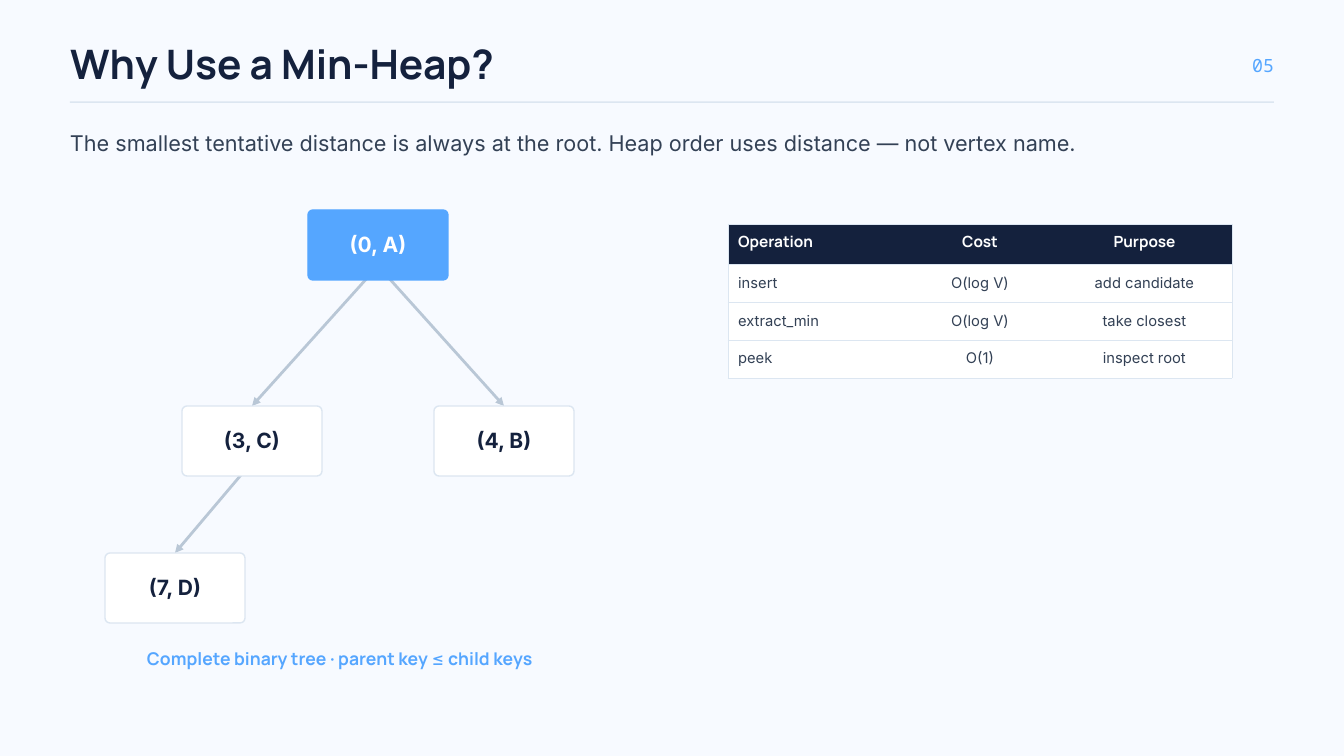
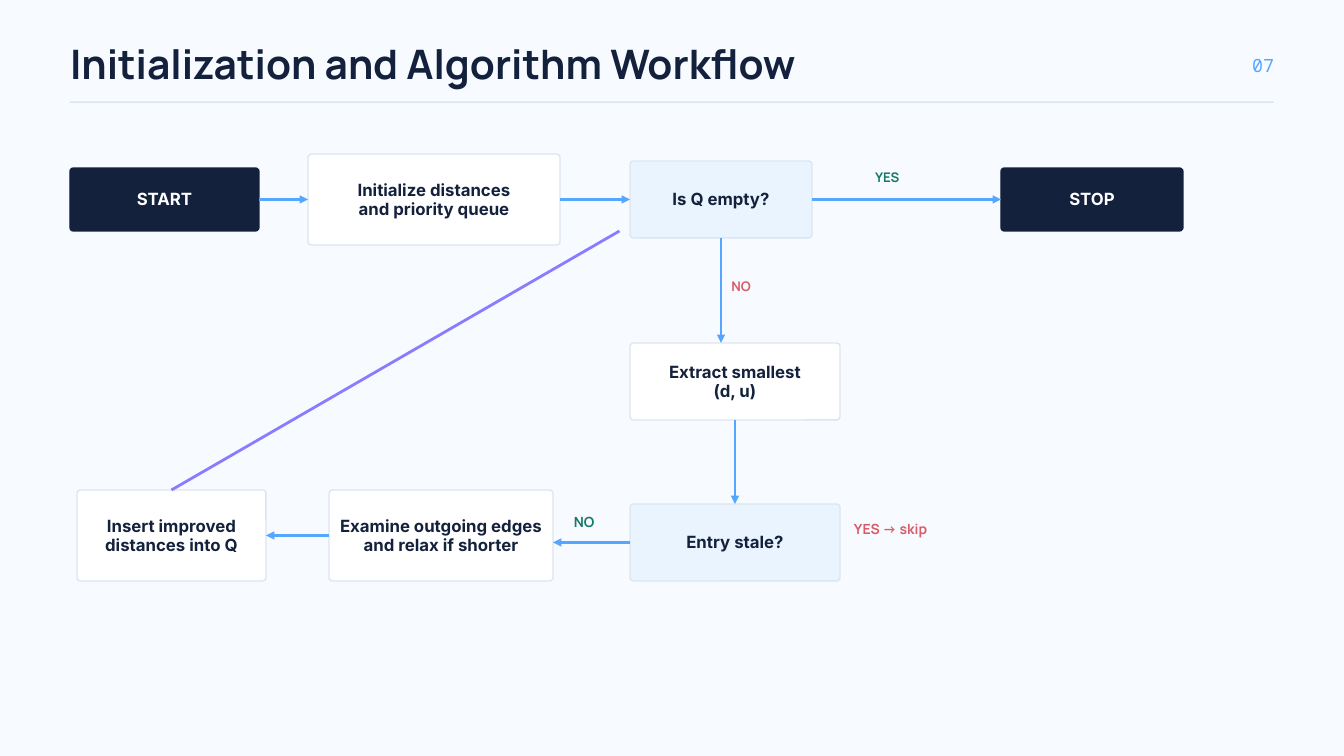
"""Build two slides on Dijkstra's algorithm: the min-heap and the workflow."""
from dataclasses import dataclass

from lxml import etree
from pptx import Presentation
from pptx.dml.color import RGBColor
from pptx.enum.shapes import MSO_CONNECTOR, MSO_SHAPE
from pptx.enum.text import MSO_ANCHOR, MSO_AUTO_SIZE, PP_ALIGN
from pptx.oxml.ns import qn
from pptx.util import Emu, Inches, Pt

LEFT, CENTER, RIGHT = PP_ALIGN.LEFT, PP_ALIGN.CENTER, PP_ALIGN.RIGHT
TOP_ANCHOR, MIDDLE = MSO_ANCHOR.TOP, MSO_ANCHOR.MIDDLE
RECTANGLE, ROUNDED = MSO_SHAPE.RECTANGLE, MSO_SHAPE.ROUNDED_RECTANGLE
STRAIGHT = MSO_CONNECTOR.STRAIGHT
NO_AUTOFIT = MSO_AUTO_SIZE.NONE
TOP_SIDE, LEFT_SIDE, BOTTOM_SIDE, RIGHT_SIDE = range(4)

SLIDE_W, SLIDE_H = Inches(20), Inches(11.25)
GRID_COLUMNS = 192
TITLE_ONLY = 5


@dataclass(frozen=True)
class TextStyle:
    """Font, size, colour, weight and line height of one kind of text."""
    font: str
    size: float
    color: str
    bold: bool
    leading: float


@dataclass(frozen=True)
class BoxStyle:
    """Fill, outline and text of one kind of box."""
    fill: str
    outline: str
    text: TextStyle


class Theme:
    """Colours and type sizes of the deck."""
    PAPER, WHITE, NAVY, SLATE = "F7FAFF", "FFFFFF", "14213D", "334155"
    BLUE, PALE, BORDER, EDGE = "55A6FF", "EAF4FF", "DCE6F1", "B9C7D6"
    VIOLET, GREEN, RED = "8B7CFF", "137A68", "D85D68"

    TITLE = TextStyle("Manrope", 43.5, NAVY, True, 45.7)
    NUMBER = TextStyle("Noto Sans Mono", 19.5, BLUE, False, 27.3)
    LEAD = TextStyle("Inter", 23.2, SLATE, False, 31.4)
    CAPTION = TextStyle("Manrope", 18.8, BLUE, True, 19.7)
    TABLE_HEAD = TextStyle("Manrope", 16.5, WHITE, True, 23.1)
    TABLE_BODY = TextStyle("Inter", 15.8, SLATE, False, 22)
    YES_STOP = TextStyle("Manrope", 14.2, GREEN, True, 15)
    NO_EXTRACT = TextStyle("Manrope", 14.2, RED, True, 15)
    NO_RELAX = TextStyle("Manrope", 15, GREEN, True, 15.8)
    YES_SKIP = TextStyle("Manrope", 15, RED, True, 15.8)

    ROOT = BoxStyle(BLUE, BLUE, TextStyle("Inter", 22.5, WHITE, True, 25.9))
    CHILD = BoxStyle(WHITE, BORDER, TextStyle("Inter", 22.5, NAVY, True, 25.9))
    TERMINAL = BoxStyle(NAVY, NAVY, TextStyle("Inter", 18, WHITE, True, 20.7))
    STEP = BoxStyle(WHITE, BORDER, TextStyle("Inter", 18, NAVY, True, 20.7))
    DECISION = BoxStyle(PALE, BORDER, STEP.text)


def grid(*units):
    """Turn grid units into slide lengths."""
    return [Emu(round(unit * SLIDE_W / GRID_COLUMNS)) for unit in units]


def rgb(color):
    """Turn a hex string into a colour."""
    return RGBColor.from_string(color)


def write(frame, text, style, align=LEFT, anchor=TOP_ANCHOR, inset=0):
    """Fill a text frame, one paragraph for each line of the text."""
    frame.word_wrap = True
    frame.auto_size = NO_AUTOFIT
    frame.vertical_anchor = anchor
    frame.margin_left = frame.margin_right = Inches(inset)
    frame.margin_top = frame.margin_bottom = Inches(inset)
    write_lines(frame, text, style, align)


def write_lines(frame, text, style, align):
    """Add styled paragraphs to a frame or a table cell."""
    for index, line in enumerate(text.split("\n")):
        paragraph = frame.add_paragraph() if index else frame.paragraphs[0]
        paragraph.alignment = align
        paragraph.line_spacing = Pt(style.leading)
        run = paragraph.add_run()
        run.text = line
        run.font.name = style.font
        run.font.size = Pt(style.size)
        run.font.bold = style.bold
        run.font.color.rgb = rgb(style.color)


def add_label(slide, text, style, area, align=LEFT):
    """Place a plain line of text."""
    label = slide.shapes.add_textbox(*grid(*area))
    write(label.text_frame, text, style, align)


def add_box(slide, text, style, area, radius):
    """Place a rounded box with centred text."""
    box = slide.shapes.add_shape(ROUNDED, *grid(*area))
    box.adjustments[0] = radius / min(area[2:])
    box.shadow.inherit = False
    box.fill.solid()
    box.fill.fore_color.rgb = rgb(style.fill)
    box.line.color.rgb = rgb(style.outline)
    box.line.width = Pt(1.5)
    write(box.text_frame, text, style.text, CENTER, MIDDLE, 0.06)
    return box


def add_line(slide, start, end, color, arrow=True):
    """Draw a straight line between two grid points."""
    line = slide.shapes.add_connector(STRAIGHT, *grid(*start, *end))
    line.line.color.rgb = rgb(color)
    line.line.width = Pt(3)
    properties = line.element.spPr
    if arrow:
        etree.SubElement(properties.find(qn("a:ln")), qn("a:tailEnd"), type="triangle")
    etree.SubElement(properties, qn("a:effectLst"))
    return line


def add_titled_slide(deck, title, number):
    """Add a slide with its title, number and rule."""
    slide = deck.slides.add_slide(deck.slide_layouts[TITLE_ONLY])
    heading = slide.shapes.title
    heading.left, heading.top, heading.width, heading.height = grid(10, 6.4, 150, 6.6)
    write(heading.text_frame, title, Theme.TITLE)
    add_label(slide, number, Theme.NUMBER, (174, 7.2, 8, 3.4), RIGHT)
    rule = slide.shapes.add_shape(RECTANGLE, *grid(10, 14.5, 172, 0.2))
    rule.shadow.inherit = False
    rule.fill.solid()
    rule.fill.fore_color.rgb = rgb(Theme.BORDER)
    rule.line.fill.background()
    return slide


def outline_cell(cell, visible):
    """Draw the named sides of a cell and hide the others."""
    properties = cell._tc.get_or_add_tcPr()
    for side in "LRTB":
        border = etree.SubElement(properties, qn(f"a:ln{side}"), w=str(Pt(0.75)))
        if side in visible:
            fill = etree.SubElement(border, qn("a:solidFill"))
            etree.SubElement(fill, qn("a:srgbClr"), val=Theme.BORDER)
        else:
            etree.SubElement(border, qn("a:noFill"))


def add_cost_table(slide, rows, corner, widths, head_height, row_height):
    """Place a table with a dark head and outlined rows."""
    heights = [head_height] + [row_height] * (len(rows) - 1)
    area = grid(*corner, sum(widths), sum(heights))
    table = slide.shapes.add_table(len(rows), len(widths), *area).table
    table.horz_banding = False
    for column, width in zip(table.columns, grid(*widths)):
        column.width = width
    for row, height in zip(table.rows, grid(*heights)):
        row.height = height
    last = len(widths) - 1
    for r, row in enumerate(rows):
        for c, text in enumerate(row):
            cell = table.cell(r, c)
            outline_cell(cell, "TB" + "L" * (c == 0) + "R" * (c == last))
            cell.fill.solid()
            cell.fill.fore_color.rgb = rgb(Theme.WHITE if r else Theme.NAVY)
            cell.vertical_anchor = TOP_ANCHOR
            cell.margin_left = cell.margin_right = Inches(0.15)
            cell.margin_top, cell.margin_bottom = Inches(0.1), 0
            style = Theme.TABLE_BODY if r else Theme.TABLE_HEAD
            write_lines(cell.text_frame, text, style, CENTER if c else LEFT)


def add_heap(slide):
    """Draw the heap, with edges behind the nodes."""
    width, height, overlap = 20, 10, 2
    corners = {"(0, A)": (44, 30), "(3, C)": (26, 58),
               "(4, B)": (62, 58), "(7, D)": (15, 79)}
    parents = {"(3, C)": "(0, A)", "(4, B)": "(0, A)", "(7, D)": "(3, C)"}
    edges = {}
    for child, parent in parents.items():
        (parent_x, parent_y), (child_x, child_y) = corners[parent], corners[child]
        start = (parent_x + width / 2, parent_y + height - overlap)
        edges[child] = add_line(slide, start, (child_x + width / 2, child_y), Theme.EDGE)
    for key, corner in corners.items():
        style = Theme.CHILD if key in parents else Theme.ROOT
        node = add_box(slide, key, style, (*corner, width, height), 0.7)
        if key in edges:
            edges[key].end_connect(node, TOP_SIDE)


def add_heap_slide(deck):
    """Build the slide on why a min-heap helps."""
    slide = add_titled_slide(deck, "Why Use a Min-Heap?", "05")
    add_label(slide, "The smallest tentative distance is always at the root. "
              "Heap order uses distance — not vertex name.", Theme.LEAD, (10, 18.1, 155, 4))
    add_label(slide, "Complete binary tree · parent key ≤ child keys",
              Theme.CAPTION, (21, 92.9, 70, 2.9))
    add_heap(slide)
    operations = [("Operation", "Cost", "Purpose"),
                  ("insert", "O(log V)", "add candidate"),
                  ("extract_min", "O(log V)", "take closest"),
                  ("peek", "O(1)", "inspect root")]
    add_cost_table(slide, operations, (104, 32), (25, 22, 25), 5.8, 5.4)


def add_workflow_slide(deck):
    """Build the slide with the flow chart of the algorithm."""
    slide = add_titled_slide(deck, "Initialization and Algorithm Workflow", "07")
    steps = {
        "start": ("START", Theme.TERMINAL, (10, 24, 27, 9)),
        "init": ("Initialize distances\nand priority queue", Theme.STEP, (44, 22, 36, 13)),
        "empty": ("Is Q empty?", Theme.DECISION, (90, 23, 26, 11)),
        "stop": ("STOP", Theme.TERMINAL, (143, 24, 26, 9)),
        "extract": ("Extract smallest\n(d, u)", Theme.STEP, (90, 49, 30, 11)),
        "stale": ("Entry stale?", Theme.DECISION, (90, 72, 30, 11)),
        "relax": ("Examine outgoing edges\nand relax if shorter", Theme.STEP, (47, 70, 32, 13)),
        "insert": ("Insert improved\ndistances into Q", Theme.STEP, (11, 70, 27, 13)),
    }
    boxes = {name: add_box(slide, *step, 0.5) for name, step in steps.items()}

    joined = [("start", RIGHT_SIDE, "init", LEFT_SIDE),
              ("init", RIGHT_SIDE, "empty", LEFT_SIDE),
              ("empty", RIGHT_SIDE, "stop", LEFT_SIDE),
              ("extract", BOTTOM_SIDE, "stale", TOP_SIDE),
              ("relax", LEFT_SIDE, "insert", RIGHT_SIDE)]
    for source, source_side, target, target_side in joined:
        arrow = add_line(slide, (0, 0), (0, 0), Theme.BLUE)
        arrow.begin_connect(boxes[source], source_side)
        arrow.end_connect(boxes[target], target_side)

    half_joined = [("empty", BOTTOM_SIDE, (103, 34), (103, 49), Theme.BLUE, True),
                   ("stale", LEFT_SIDE, (90, 77.5), (79, 77.5), Theme.BLUE, True),
                   ("insert", TOP_SIDE, (24.5, 70), (88.5, 33), Theme.VIOLET, False)]
    for source, side, start, end, color, arrow in half_joined:
        add_line(slide, start, end, color, arrow).begin_connect(boxes[source], side)

    add_label(slide, "YES", Theme.YES_STOP, (125, 24.5, 9, 2.2))
    add_label(slide, "NO", Theme.NO_EXTRACT, (104.5, 40, 7, 2.2))
    add_label(slide, "YES → skip", Theme.YES_SKIP, (122, 74.6, 18, 2.3))
    add_label(slide, "NO", Theme.NO_RELAX, (82, 73.6, 7, 2.3))


def main():
    """Build and save the deck."""
    deck = Presentation()
    deck.slide_width, deck.slide_height = SLIDE_W, SLIDE_H
    paper = deck.slide_master.background.fill
    paper.solid()
    paper.fore_color.rgb = rgb(Theme.PAPER)
    add_heap_slide(deck)
    add_workflow_slide(deck)
    deck.save("out.pptx")


if __name__ == "__main__":
    main()
